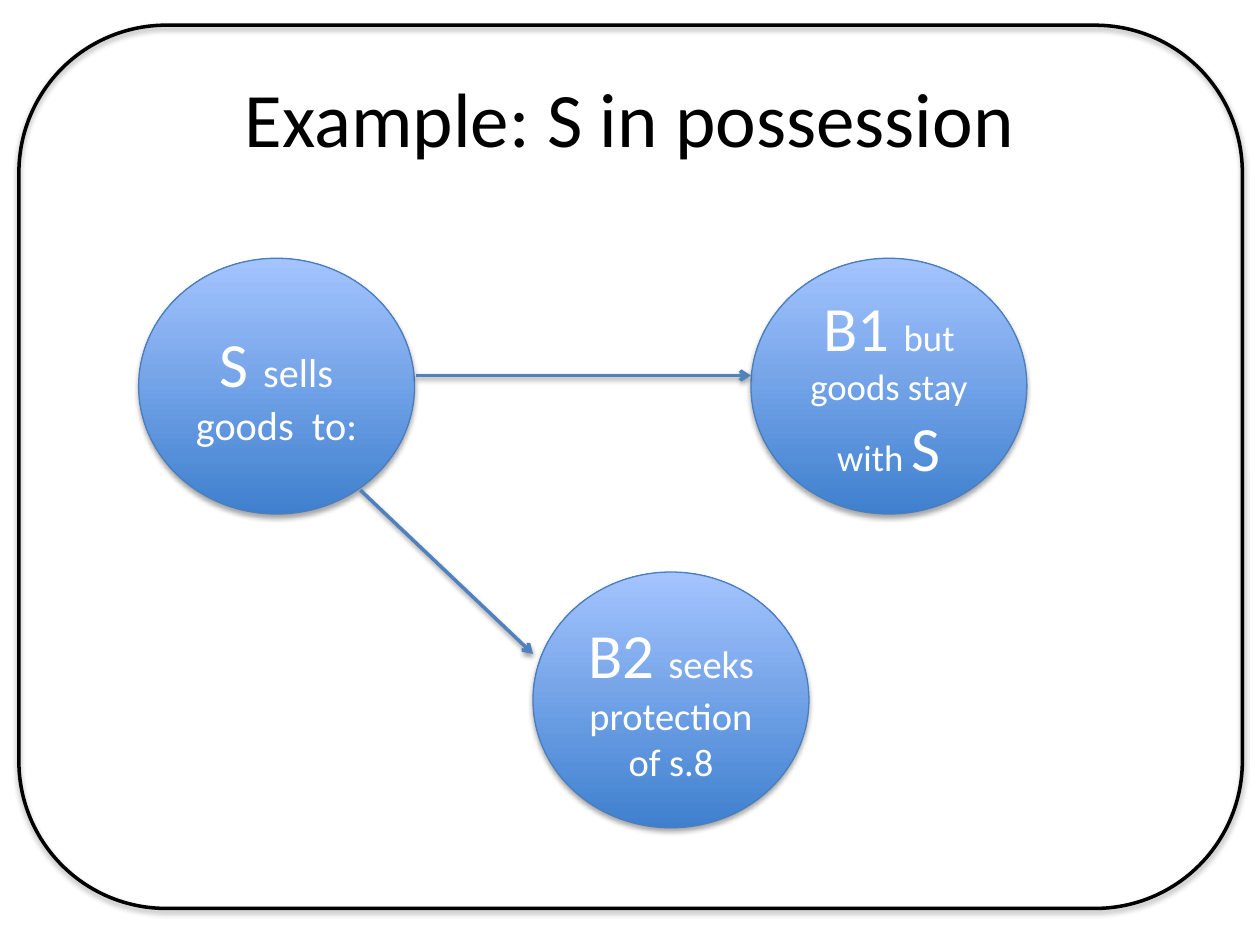
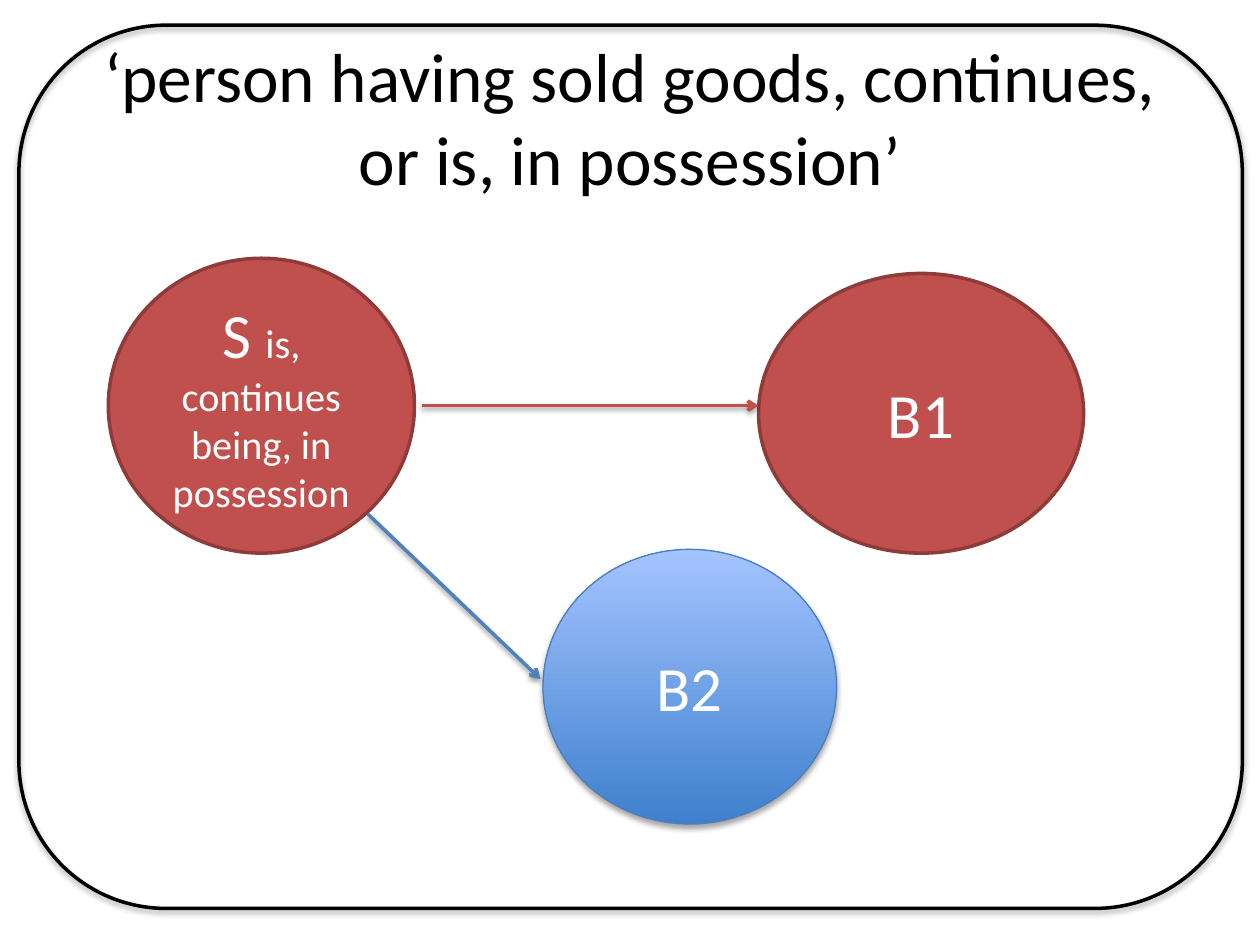
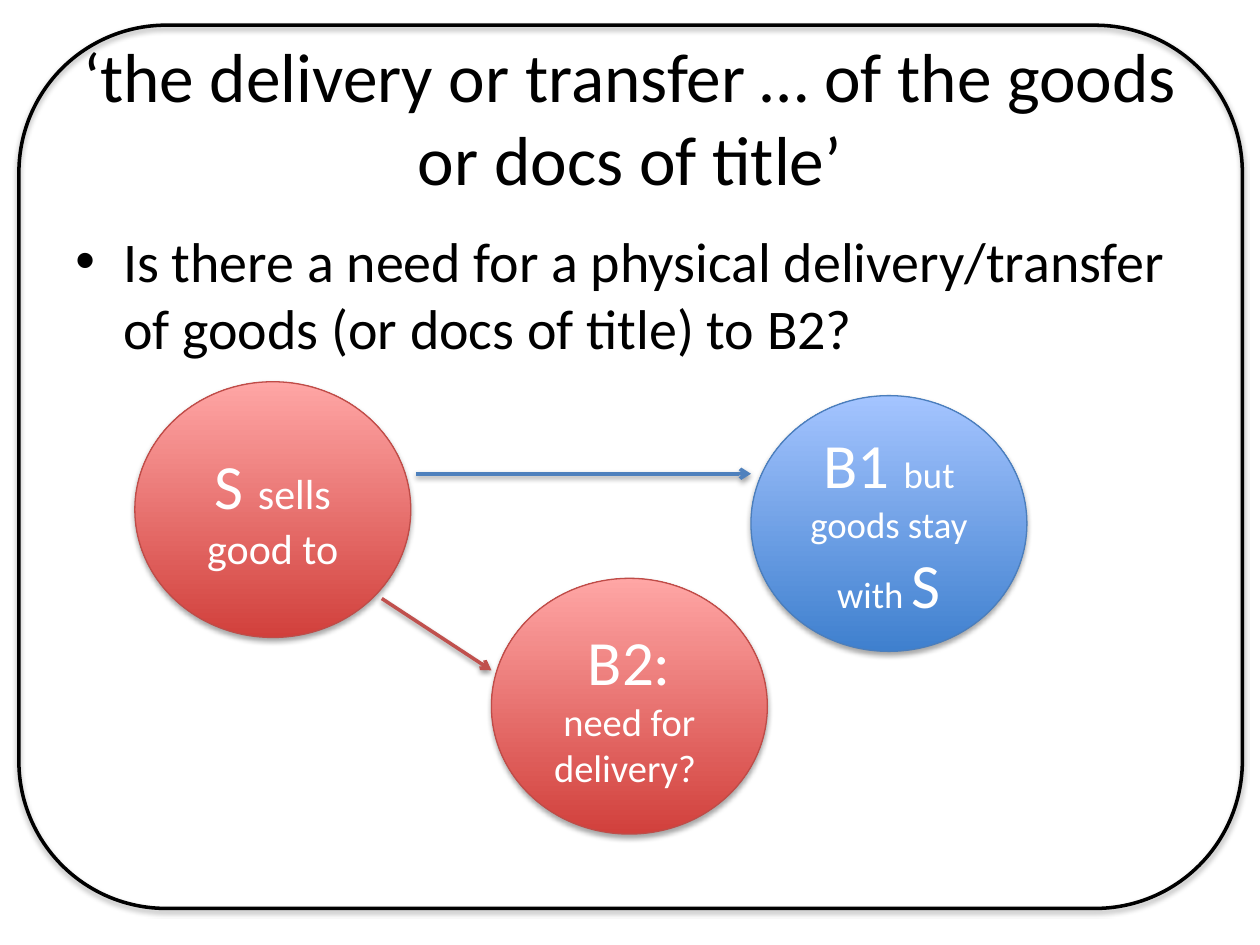
from dataclasses import dataclass
from typing import NamedTuple

import pptx
import pptx.dml.color
import pptx.enum.shapes
import pptx.enum.text
import pptx.oxml
import pptx.oxml.ns
import pptx.util
from lxml import etree

Inches = pptx.util.Inches
Pt = pptx.util.Pt
qn = pptx.oxml.ns.qn

FONT = "Calibri"
COLOURS = {
    "ink": "000000",
    "paper": "FFFFFF",
    "blue": "4F81BD",
    "blue_dark": "3F80CE",
    "blue_light": "A4C4FF",
    "blue_edge": "4B7EBC",
    "red": "C0504D",
    "red_dark": "D1403C",
    "red_light": "FFA6A5",
    "red_edge": "BF4C48",
    "solid_edge": "8E3B39",
}


class Look(NamedTuple):
    fills: tuple[str, ...]
    edge: str
    edge_width: float


BLUE = Look(("blue_dark", "blue_light"), "blue_edge", 0.75)
RED = Look(("red_dark", "red_light"), "red_edge", 0.75)
SOLID_RED = Look(("red",), "solid_edge", 2)


class Wording(NamedTuple):
    text: str
    size: float


@dataclass(frozen=True)
class Party:
    left: float
    top: float
    wording: tuple[Wording, ...]
    look: Look = BLUE
    width: float = 2.19
    height: float = 2.03


class Sale(NamedTuple):
    start: tuple[float, float]
    end: tuple[float, float]
    colour: str = "blue"


@dataclass(frozen=True)
class Scene:
    title: str
    title_size: float
    parties: tuple[Party, ...]
    sales: tuple[Sale, ...]
    question: str = ""


GOODS_STAY = (Wording("B1 ", 36), Wording("but goods stay with ", 21), Wording("S", 36))

SCENES = (
    Scene(
        "Example: S in possession",
        44,
        (
            Party(1.1, 2.05, (Wording("S ", 36), Wording("sells goods  to:", 23))),
            Party(4.23, 4.54, (Wording("B2 ", 36), Wording("seeks protection of s.8", 22))),
            Party(5.96, 2.05, GOODS_STAY),
        ),
        (Sale((3.3, 2.98), (5.96, 2.98)), Sale((2.86, 3.89), (4.23, 5.19))),
    ),
    Scene(
        "‘person having sold goods, continues, or is, in possession’",
        39.6,
        (
            Party(
                0.86,
                2.05,
                (Wording("S ", 36), Wording("is, continues being, in possession", 23)),
                SOLID_RED,
                2.43,
                2.34,
            ),
            Party(4.31, 4.36, (Wording("B2", 36),), BLUE, 2.33, 2.18),
            Party(6.02, 2.17, (Wording("B1", 36),), SOLID_RED, 2.58, 2.22),
        ),
        (Sale((3.35, 3.22), (6.02, 3.22), "red"), Sale((2.92, 4.08), (4.29, 5.39))),
    ),
    Scene(
        "‘the delivery or transfer … of the goods or docs of title’",
        39.6,
        (
            Party(1.07, 3.03, (Wording("S ", 36), Wording("sells good to", 24)), RED),
            Party(3.9, 4.59, (Wording("B2: ", 36), Wording("need for delivery? ", 22)), RED),
            Party(5.96, 3.14, GOODS_STAY),
        ),
        (Sale((3.3, 3.76), (5.96, 3.76)), Sale((3.03, 4.75), (3.9, 5.32), "red")),
        "Is there a need for a physical delivery/transfer of goods (or docs of title) to B2?",
    ),
)


def rgb(name: str) -> pptx.dml.color.RGBColor:
    return pptx.dml.color.RGBColor.from_string(COLOURS[name])


def style_font(font, size: float, colour: str) -> None:
    font.name = FONT
    font.size = Pt(size)
    font.color.rgb = rgb(colour)


def style_line(line, colour: str, width: float) -> None:
    line.color.rgb = rgb(colour)
    line.width = Pt(width)


def cast_shadow(shape, opacity: int, distance: float) -> None:
    properties = shape.element.spPr
    effects = properties.find(qn("a:effectLst"))
    if effects is None:
        effects = etree.SubElement(properties, qn("a:effectLst"))
    shadow = etree.SubElement(
        effects,
        qn("a:outerShdw"),
        blurRad=str(Pt(3.1)),
        dist=str(Pt(distance)),
        dir="5400000",
        rotWithShape="0",
    )
    tint = etree.SubElement(shadow, qn("a:srgbClr"), val=COLOURS["ink"])
    etree.SubElement(tint, qn("a:alpha"), val=str(opacity * 1000))


def draw_frame(slide) -> None:
    frame = slide.shapes.add_shape(
        pptx.enum.shapes.MSO_SHAPE.ROUNDED_RECTANGLE,
        Inches(0.15), Inches(0.2), Inches(9.71), Inches(7.01),
    )
    frame.fill.background()
    style_line(frame.line, "ink", 2)
    frame.shadow.inherit = False
    cast_shadow(frame, 35, 1.8)


def add_text(slide, text: str, size: float, top: float, height: float):
    box = slide.shapes.add_textbox(Inches(0.5), Inches(top), Inches(9), Inches(height))
    box.text_frame.word_wrap = True
    box.text_frame.text = text
    paragraph = box.text_frame.paragraphs[0]
    style_font(paragraph.runs[0].font, size, "ink")
    return box.text_frame, paragraph


def draw_title(slide, scene: Scene) -> None:
    frame, paragraph = add_text(slide, scene.title, scene.title_size, 0.3, 1.25)
    frame.vertical_anchor = pptx.enum.text.MSO_ANCHOR.MIDDLE
    paragraph.alignment = pptx.enum.text.PP_ALIGN.CENTER


def draw_question(slide, question: str) -> None:
    _, paragraph = add_text(slide, question, 32, 1.75, 4.95)
    properties = paragraph._p.get_or_add_pPr()
    properties.set("marL", str(Inches(0.38)))
    properties.set("indent", str(Inches(-0.38)))
    etree.SubElement(properties, qn("a:buFont"), typeface="Arial")
    etree.SubElement(properties, qn("a:buChar"), char="•")


def draw_party(slide, party: Party) -> None:
    circle = slide.shapes.add_shape(
        pptx.enum.shapes.MSO_SHAPE.OVAL,
        Inches(party.left), Inches(party.top), Inches(party.width), Inches(party.height),
    )
    circle.shadow.inherit = False
    style_line(circle.line, party.look.edge, party.look.edge_width)
    if len(party.look.fills) > 1:
        circle.fill.gradient()
        circle.fill.gradient_angle = 90
        for stop, colour in zip(circle.fill.gradient_stops, party.look.fills):
            stop.color.rgb = rgb(colour)
        cast_shadow(circle, 35, 1.8)
    else:
        circle.fill.solid()
        circle.fill.fore_color.rgb = rgb(party.look.fills[0])
    circle.text_frame.word_wrap = True
    circle.text_frame.vertical_anchor = pptx.enum.text.MSO_ANCHOR.MIDDLE
    paragraph = circle.text_frame.paragraphs[0]
    paragraph.alignment = pptx.enum.text.PP_ALIGN.CENTER
    for wording in party.wording:
        run = paragraph.add_run()
        run.text = wording.text
        style_font(run.font, wording.size, "paper")


def draw_sale(slide, sale: Sale) -> None:
    arrow = slide.shapes.add_connector(
        pptx.enum.shapes.MSO_CONNECTOR.STRAIGHT,
        *(Inches(length) for length in sale.start + sale.end),
    )
    style_line(arrow.line, sale.colour, 2)
    etree.SubElement(arrow.element.spPr.find(qn("a:ln")), qn("a:tailEnd"), type="arrow")
    cast_shadow(arrow, 38, 1.6)


def draw_scene(slide, scene: Scene) -> None:
    draw_frame(slide)
    draw_title(slide, scene)
    if scene.question:
        draw_question(slide, scene.question)
    for party in scene.parties:
        draw_party(slide, party)
    for sale in scene.sales:
        draw_sale(slide, sale)


def main() -> None:
    deck = pptx.Presentation()
    deck.slide_width = Inches(10)
    deck.slide_height = Inches(7.5)
    for scene in SCENES:
        draw_scene(deck.slides.add_slide(deck.slide_layouts[6]), scene)
    deck.save("out.pptx")


if __name__ == "__main__":
    main()
